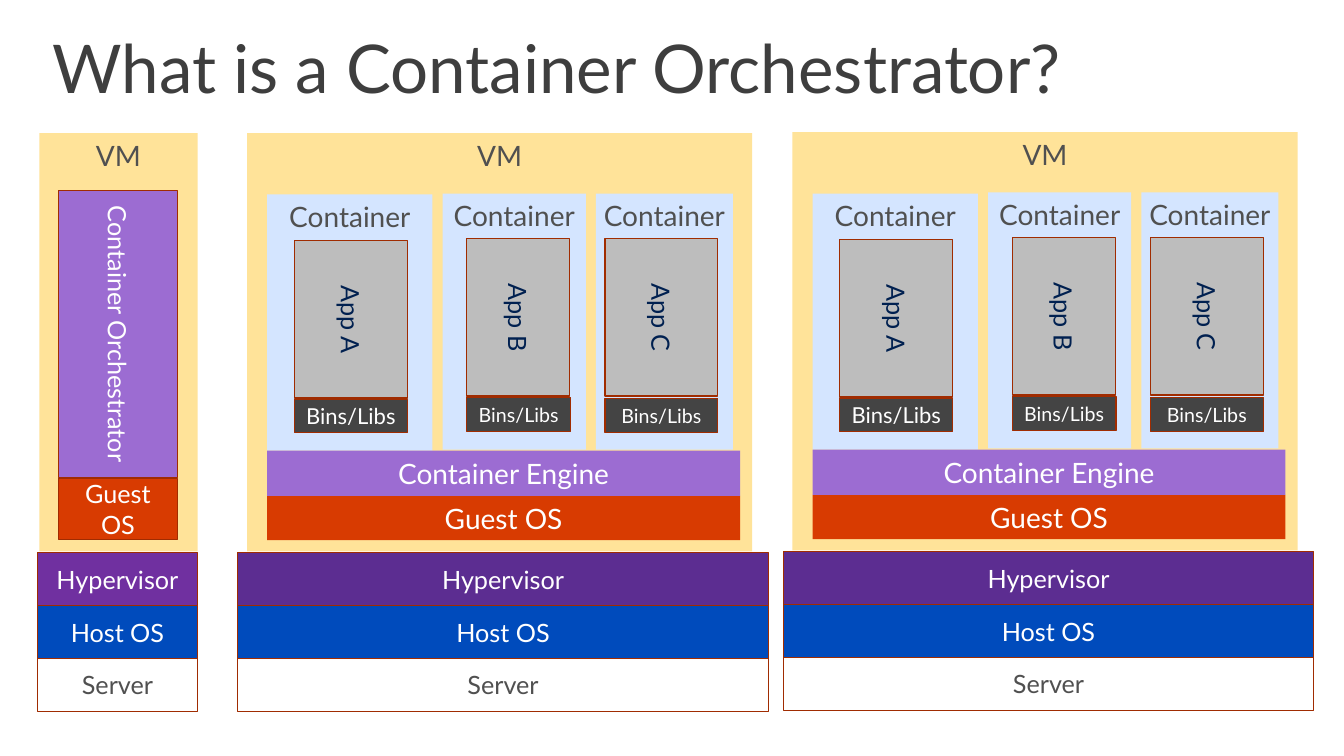
from dataclasses import dataclass

import pptx
import pptx.dml.color
import pptx.enum.shapes
import pptx.enum.text
import pptx.slide
import pptx.util

Inches = pptx.util.Inches
PP_ALIGN = pptx.enum.text.PP_ALIGN
ANCHOR = pptx.enum.text.MSO_ANCHOR

WHITE = "FFFFFF"
GRAY_TEXT = "505050"
BORDER = "A02C01"
PURPLE = "9C6CD2"
ORANGE = "D83B01"
BAND_HEIGHT = 0.53
BAND_STEP = 0.525


@dataclass(frozen=True)
class Style:
    fill: str
    text_color: str
    size: float
    bordered: bool = False
    anchor: ANCHOR = ANCHOR.MIDDLE
    vertical: bool = False


@dataclass(frozen=True)
class Container:
    app: str
    left: float
    top: float
    width: float
    app_left: float
    app_top: float
    app_width: float
    libs_top: float
    libs_width: float
    libs_height: float
    libs_size: float


@dataclass(frozen=True)
class Host:
    left: float
    top: float
    width: float
    hypervisor_color: str


VM = Style("FFE399", GRAY_TEXT, 20, anchor=ANCHOR.TOP)
CONTAINER = Style("D4E5FF", GRAY_TEXT, 20, anchor=ANCHOR.TOP)
APP = Style("BDBDBD", "002050", 18, bordered=True, vertical=True)
ENGINE = Style(PURPLE, WHITE, 20)
GUEST = Style(ORANGE, WHITE, 20)
MANAGER_GUEST = Style(ORANGE, WHITE, 18, bordered=True)
ORCHESTRATOR = Style(PURPLE, WHITE, 18, bordered=True, vertical=True)

CONTAINERS = [
    Container("App A", 0.2, 0.61, 1.64, 0.47, 1.07, 1.12, 2.64, 1.12, 0.33, 15.7),
    Container("App B", 1.94, 0.6, 1.42, 2.18, 1.05, 1.02, 2.62, 1.03, 0.34, 14),
    Container("App C", 3.46, 0.6, 1.36, 3.55, 1.05, 1.12, 2.63, 1.12, 0.34, 14),
]
WORKER_ORIGINS = [(2.45, 1.32), (7.86, 1.31)]


def rgb(color: str) -> pptx.dml.color.RGBColor:
    return pptx.dml.color.RGBColor.from_string(color)


def apply_format(target: object, values: dict) -> None:
    for attribute, value in values.items():
        setattr(target, attribute, value)


def write_text(frame: pptx.text.text.TextFrame, text: str, size: float, color: str) -> None:
    frame.text = text
    font = frame.paragraphs[0].runs[0].font
    apply_format(font, {"name": "Lato", "size": pptx.util.Pt(size)})
    font.color.rgb = rgb(color)


def draw_block(slide: pptx.slide.Slide, text: str, left: float, top: float,
               width: float, height: float, style: Style) -> None:
    block = slide.shapes.add_shape(
        pptx.enum.shapes.MSO_SHAPE.RECTANGLE,
        Inches(left), Inches(top), Inches(width), Inches(height))
    block.shadow.inherit = False
    block.fill.solid()
    block.fill.fore_color.rgb = rgb(style.fill)
    if style.bordered:
        block.line.color.rgb = rgb(BORDER)
        block.line.width = pptx.util.Pt(0.85)
    else:
        block.line.fill.background()
    frame = block.text_frame
    side = Inches(0.1 if style.bordered else 0)
    apply_format(frame, {
        "word_wrap": True,
        "vertical_anchor": style.anchor,
        "margin_left": side,
        "margin_right": side,
        "margin_top": Inches(0.05),
        "margin_bottom": Inches(0.05),
    })
    write_text(frame, text, style.size, style.text_color)
    frame.paragraphs[0].alignment = PP_ALIGN.CENTER
    if style.vertical:
        frame._txBody.bodyPr.set("vert", "vert")


def draw_host(slide: pptx.slide.Slide, host: Host) -> None:
    layers = [
        ("Hypervisor", host.hypervisor_color, WHITE),
        ("Host OS", "004BBC", WHITE),
        ("Server", WHITE, GRAY_TEXT),
    ]
    for level, (label, fill, text_color) in reversed(list(enumerate(layers))):
        draw_block(slide, label, host.left, host.top + level * BAND_STEP,
                   host.width, BAND_HEIGHT, Style(fill, text_color, 18, bordered=True))


def draw_container(slide: pptx.slide.Slide, left: float, top: float,
                   container: Container) -> None:
    draw_block(slide, "Container", left + container.left, top + container.top,
               container.width, 2.54, CONTAINER)
    draw_block(slide, "Bins/Libs", left + container.app_left, top + container.libs_top,
               container.libs_width, container.libs_height,
               Style("444444", WHITE, container.libs_size, bordered=True))
    draw_block(slide, container.app, left + container.app_left, top + container.app_top,
               container.app_width, 1.56, APP)


def draw_worker(slide: pptx.slide.Slide, left: float, top: float) -> None:
    draw_block(slide, "VM", left, top, 5.01, 4.15, VM)
    for container in CONTAINERS:
        draw_container(slide, left, top, container)
    draw_host(slide, Host(left - 0.09, top + 4.16, 5.26, "5C2D91"))
    draw_block(slide, "Guest OS", left + 0.2, top + 3.6, 4.69, 0.44, GUEST)
    draw_block(slide, "Container Engine", left + 0.2, top + 3.15, 4.69, 0.45, ENGINE)


def draw_manager(slide: pptx.slide.Slide) -> None:
    draw_block(slide, "VM", 0.39, 1.32, 1.57, 4.15, VM)
    draw_host(slide, Host(0.37, 5.48, 1.59, "7030A0"))
    draw_block(slide, "Guest OS", 0.58, 4.75, 1.18, 0.6, MANAGER_GUEST)
    draw_block(slide, "Container Orchestrator", 0.58, 1.89, 1.18, 2.85, ORCHESTRATOR)


def draw_title(slide: pptx.slide.Slide) -> None:
    title = slide.shapes.add_textbox(Inches(0.52), Inches(0.35), Inches(10.25), Inches(0.73))
    frame = title.text_frame
    apply_format(frame, {
        "word_wrap": True,
        "auto_size": pptx.enum.text.MSO_AUTO_SIZE.SHAPE_TO_FIT_TEXT,
        "margin_left": 0,
        "margin_right": 0,
        "margin_top": 0,
        "margin_bottom": 0,
    })
    write_text(frame, "What is a Container Orchestrator?", 48, "3E3E3E")
    frame.paragraphs[0].line_spacing = 0.9


def main() -> None:
    deck = pptx.Presentation()
    apply_format(deck, {"slide_width": Inches(13.33), "slide_height": Inches(7.5)})
    slide = deck.slides.add_slide(deck.slide_layouts[6])
    draw_title(slide)
    draw_manager(slide)
    for left, top in WORKER_ORIGINS:
        draw_worker(slide, left, top)
    deck.save("out.pptx")


if __name__ == "__main__":
    main()
